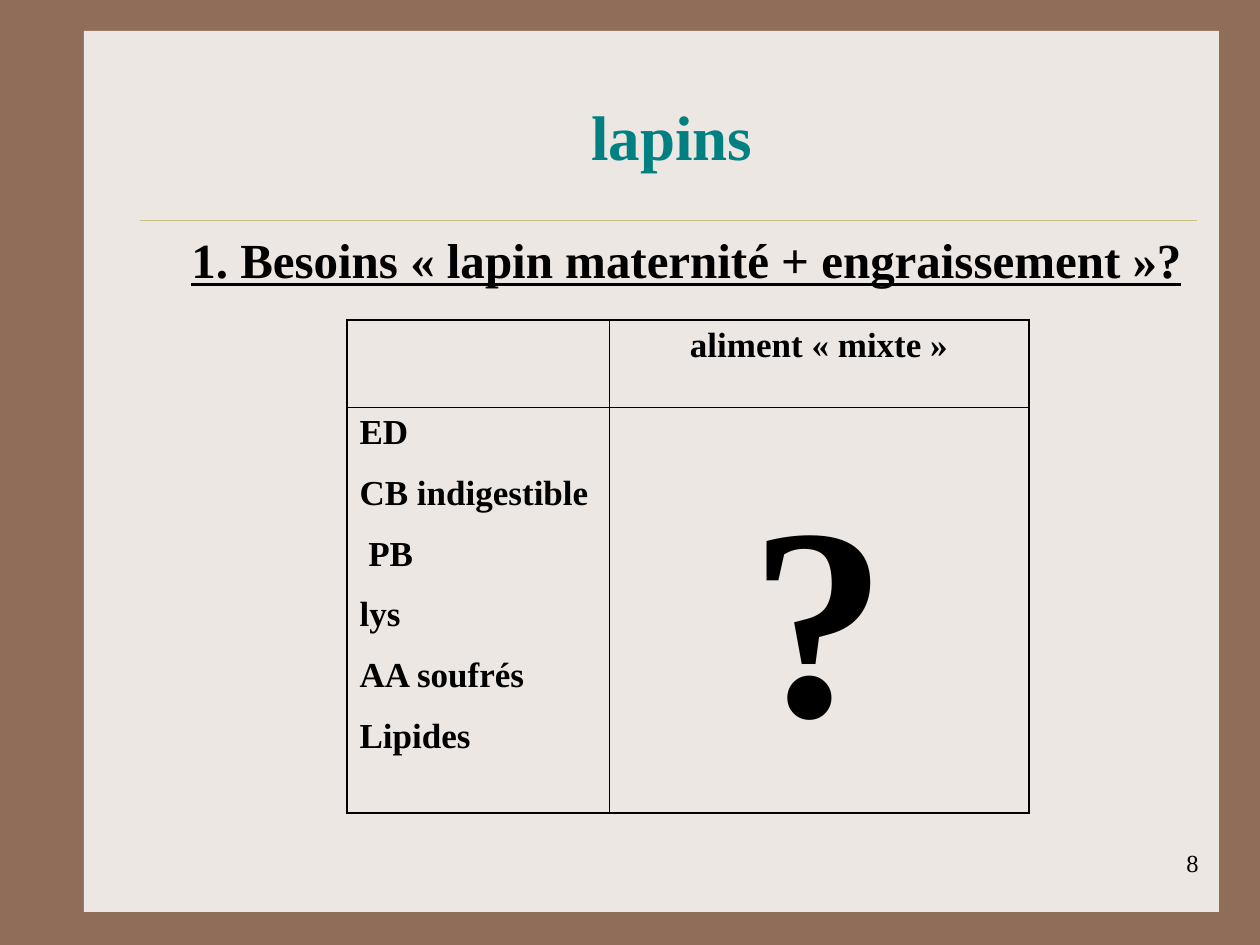
from lxml.etree import SubElement
from pptx import Presentation
from pptx.dml.color import RGBColor
from pptx.enum.shapes import MSO_CONNECTOR, MSO_SHAPE
from pptx.enum.text import MSO_ANCHOR, PP_ALIGN
from pptx.oxml.ns import qn
from pptx.util import Emu, Pt

FONT = "Times New Roman"
BLACK = "000000"
OUTER, INNER = 1.08, 0.45  # table border widths in points
NEEDS = ["ED", "CB indigestible", " PB", "lys", "AA soufrés", "Lipides"]


def px(length):
    return Emu(round(length * 914400 / 126))


def color(code):
    return RGBColor.from_string(code)


def write(frame, lines, size, align=PP_ALIGN.LEFT, ink=BLACK, bold=True,
          underline=False, gap=0):
    """Fill a text frame with one paragraph per line, gap points apart."""
    frame.word_wrap = True
    for index, line in enumerate(lines):
        para = frame.add_paragraph() if index else frame.paragraphs[0]
        para.text = line
        para.alignment = align
        para.space_before = Pt(gap if index else 0)
        font = para.font
        font.name, font.size = FONT, Pt(size)
        font.bold, font.underline = bold, underline
        font.color.rgb = color(ink)


def add_backdrop(page, left, top, width, height):
    page.background.fill.solid()
    page.background.fill.fore_color.rgb = color("906D58")
    panel = page.shapes.add_shape(
        MSO_SHAPE.RECTANGLE, px(left), px(top), px(width), px(height))
    panel.shadow.inherit = False
    panel.fill.solid()
    panel.fill.fore_color.rgb = color("EDE7E3")
    panel.line.fill.background()

    rule_y = px(top + 189)
    rule = page.shapes.add_connector(
        MSO_CONNECTOR.STRAIGHT, px(left + 56), rule_y, px(left + 1113), rule_y)
    rule.line.color.rgb = color("CBBD83")
    rule.line.width = Pt(0.25)
    SubElement(rule._element.spPr, qn("a:effectLst"))


def place_title(page, left, top, width, height):
    title = page.shapes.title
    title.left, title.top = px(left), px(top)
    title.width, title.height = px(width), px(height)
    title.text_frame.vertical_anchor = MSO_ANCHOR.BOTTOM
    write(title.text_frame, ["lapins"], 36, PP_ALIGN.CENTER, "008080")


def add_text(page, left, top, width, height, text, size, align,
             anchor=MSO_ANCHOR.TOP, **style):
    box = page.shapes.add_textbox(px(left), px(top), px(width), px(height))
    box.text_frame.vertical_anchor = anchor
    write(box.text_frame, [text], size, align, **style)


def add_border(cell, side, width):
    line = SubElement(cell._tc.get_or_add_tcPr(), qn(f"a:ln{side}"),
                      w=str(Pt(width)))
    fill = SubElement(line, qn("a:solidFill"))
    SubElement(fill, qn("a:srgbClr"), val=BLACK)


def add_needs_table(page, left, top, columns, rows):
    table = page.shapes.add_table(
        len(rows), len(columns), px(left), px(top),
        px(sum(columns)), px(sum(rows))).table
    table.first_row = table.horz_banding = False
    for column, width in zip(table.columns, columns):
        column.width = px(width)
    for row, height in zip(table.rows, rows):
        row.height = px(height)

    for r in range(len(rows)):
        for c in range(len(columns)):
            cell = table.cell(r, c)
            edges = {"L": c == 0, "R": c == len(columns) - 1,
                     "T": r == 0, "B": r == len(rows) - 1}
            for side, outside in edges.items():
                add_border(cell, side, OUTER if outside else INNER)
            cell.fill.background()

    write(table.cell(0, 1).text_frame, ["aliment «\u00a0mixte\u00a0»".replace("\u00a0", " ")],
          20, PP_ALIGN.CENTER)
    write(table.cell(1, 0).text_frame, NEEDS, 20, gap=12.5)
    answer = table.cell(1, 1)
    answer.margin_top = px(66)
    write(answer.text_frame, ["?"], 156, PP_ALIGN.CENTER)


def main():
    deck = Presentation()
    deck.slide_width, deck.slide_height = px(1260), px(945)
    page = deck.slides.add_slide(deck.slide_layouts[5])
    add_backdrop(page, 84, 31, 1135, 881)
    place_title(page, 116, 91, 1112, 88)
    add_text(page, 179, 223, 1029, 72,
             "1. Besoins « lapin maternité + engraissement »?", 28,
             PP_ALIGN.JUSTIFY, MSO_ANCHOR.BOTTOM, underline=True)
    add_needs_table(page, 347, 320, columns=[262, 420], rows=[87, 406])
    add_text(page, 949, 842, 262, 63, "8", 14, PP_ALIGN.RIGHT, bold=False)
    # The title stays in front of the panel
    page.shapes._spTree.append(page.shapes.title._element)
    deck.save("out.pptx")


if __name__ == "__main__":
    main()
